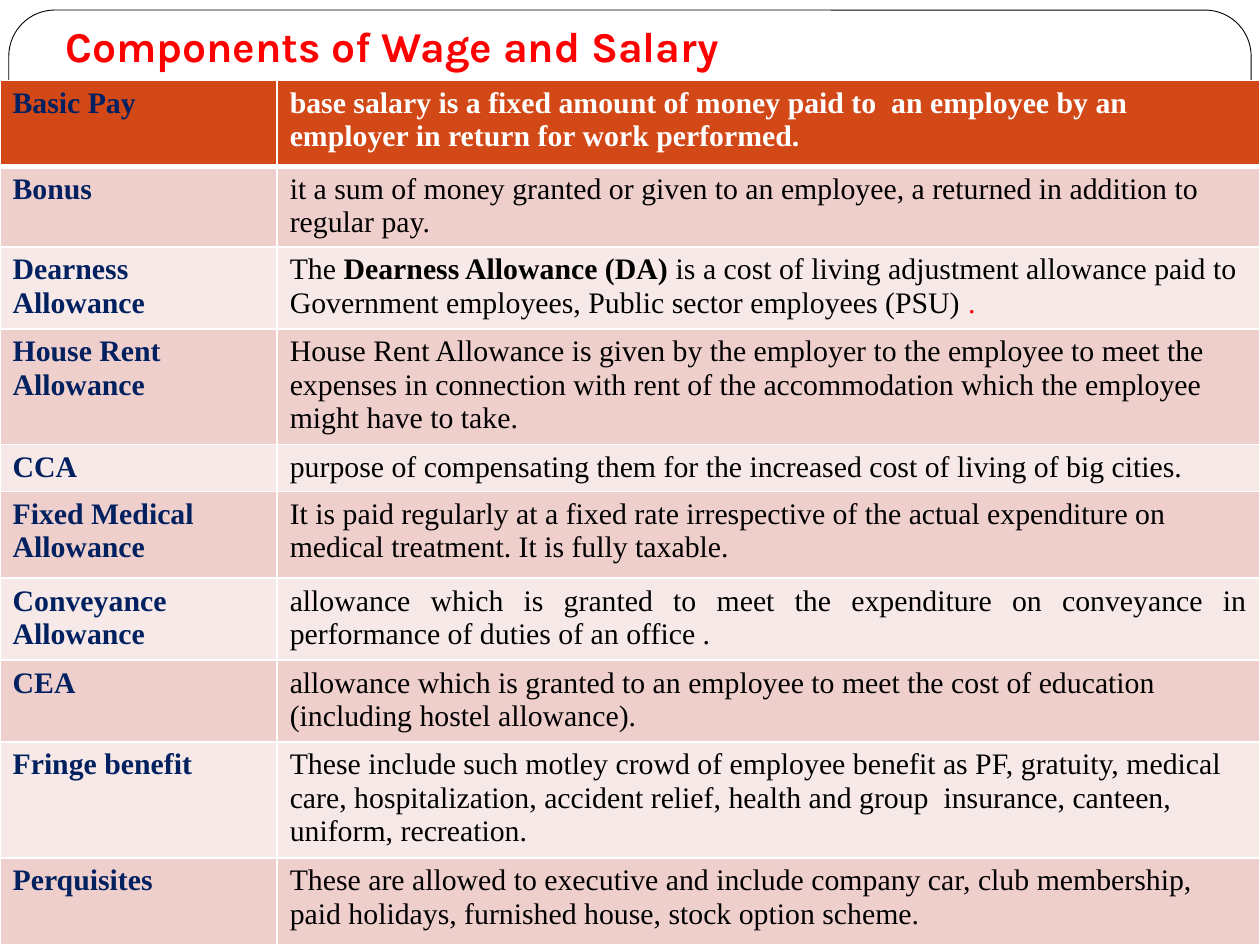
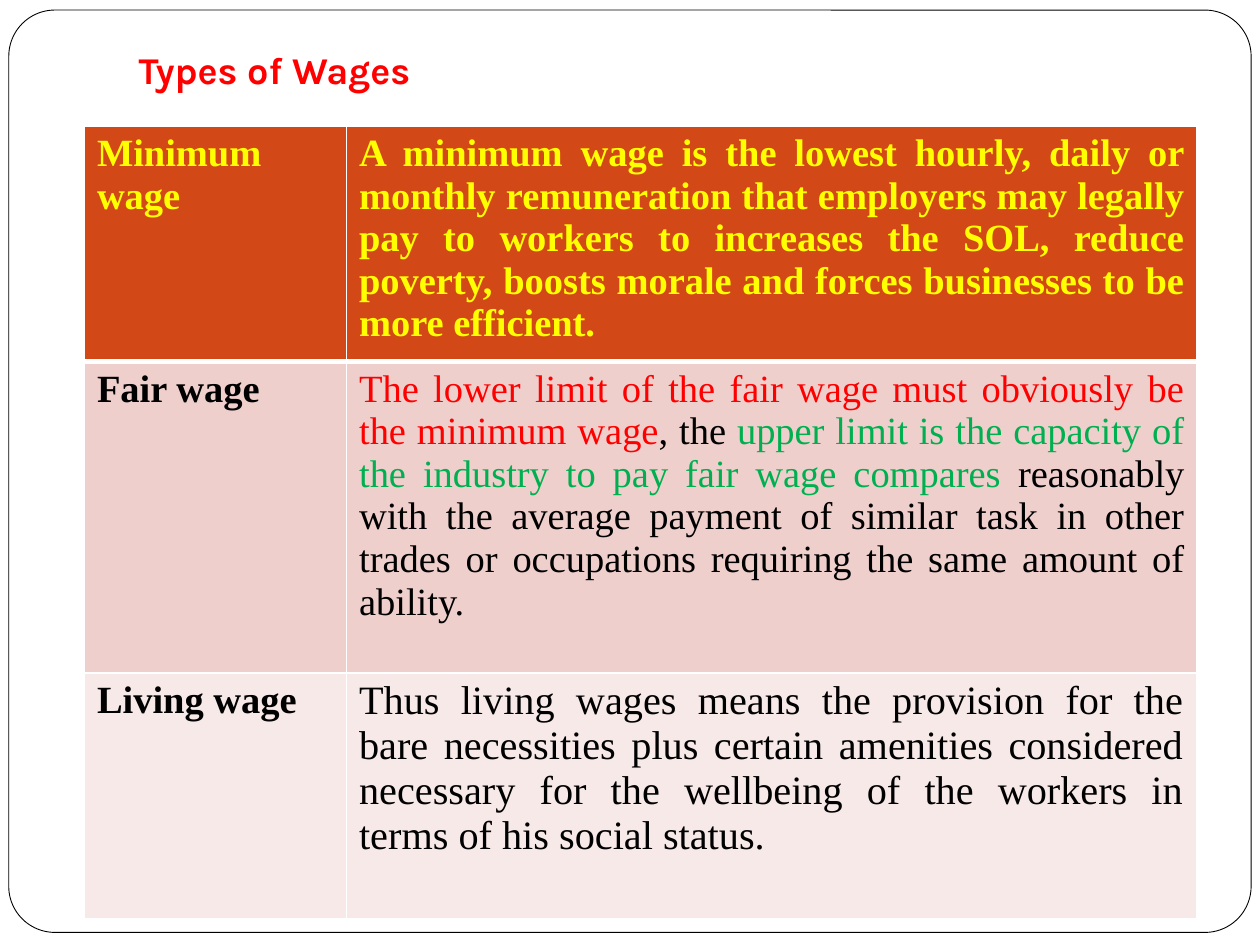
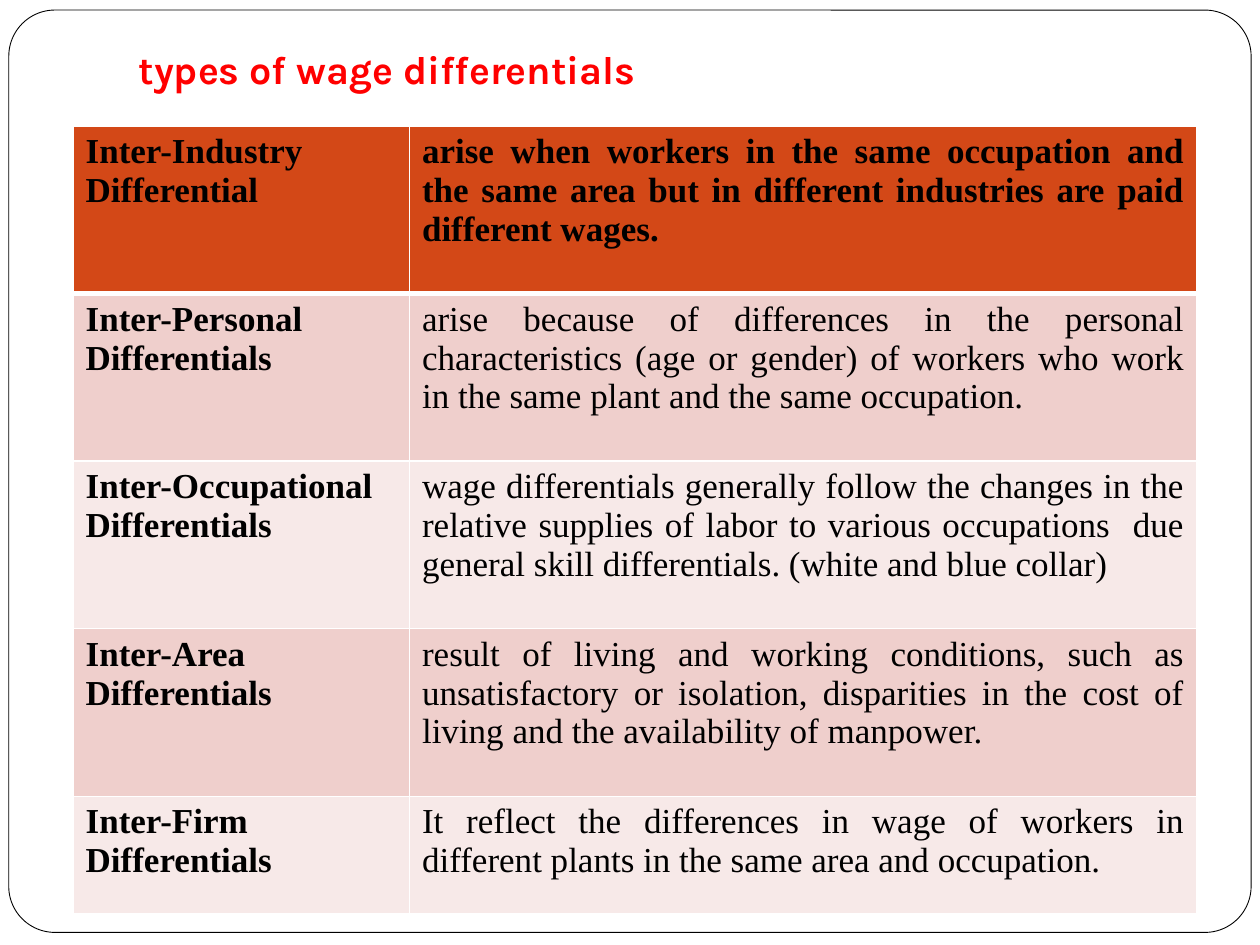
import pptx
import pptx.dml.color
import pptx.enum.shapes
import pptx.enum.text
import pptx.oxml
import pptx.oxml.ns
import pptx.util
from pptx.dml.color import RGBColor
from pptx.util import Inches

TITLE_FONT = "Karla"
BODY_FONT = "Times New Roman"

BLACK = RGBColor(0x00, 0x00, 0x00)
WHITE = RGBColor(0xFF, 0xFF, 0xFF)
RED = RGBColor(0xFF, 0x00, 0x00)
NAVY = RGBColor(0x00, 0x20, 0x60)
YELLOW = RGBColor(0xFF, 0xFF, 0x00)
GREEN = RGBColor(0x00, 0xB0, 0x50)
HEADER_FILL = RGBColor(0xD3, 0x48, 0x17)
BAND_FILLS = (RGBColor(0xF7, 0xE9, 0xE8), RGBColor(0xEF, 0xCF, 0xCC))

LEFT = pptx.enum.text.PP_ALIGN.LEFT
JUSTIFY = pptx.enum.text.PP_ALIGN.JUSTIFY

# A cell is plain text or a list of runs: (text, changes to the cell's style).
COMPONENTS = [
    ("Basic Pay", "base salary is a fixed amount of money paid to  an employee by an "
     "employer in return for work performed."),
    ("Bonus", "it a sum of money granted or given to an employee, a returned in "
     "addition to regular pay."),
    ("Dearness Allowance", [
        ("The ", {}),
        ("Dearness Allowance (DA)", {"bold": True}),
        (" is a cost of living adjustment allowance paid to Government employees, "
         "Public sector employees (PSU)", {}),
        (" .", {"color": RED})]),
    ("House Rent Allowance", "House Rent Allowance is given by the employer to the "
     "employee to meet the expenses in connection with rent of the accommodation "
     "which the employee might have to take."),
    ("CCA", "purpose of compensating them for the increased cost of living of big "
     "cities."),
    ("Fixed Medical Allowance", "It is paid regularly at a fixed rate irrespective of "
     "the actual expenditure on medical treatment. It is fully taxable."),
    ("Conveyance Allowance", "allowance which is granted to meet the expenditure on "
     "conveyance in performance of duties of an office ."),
    ("CEA", "allowance which is granted to an employee to meet the cost of education "
     "(including hostel allowance)."),
    ("Fringe benefit", "These include such motley crowd of employee benefit as PF, "
     "gratuity, medical care, hospitalization, accident relief, health and group  "
     "insurance, canteen, uniform, recreation."),
    ("Perquisites", "These are allowed to executive and include company car, club "
     "membership, paid holidays, furnished house, stock option scheme."),
]

WAGE_TYPES = [
    ([("Minimum wage", {"color": YELLOW})],
     [("A minimum wage is the lowest hourly, daily or monthly remuneration that "
       "employers may legally pay to workers to increases the SOL, reduce poverty, "
       "boosts morale and forces businesses to be more efficient.",
       {"color": YELLOW})]),
    ("Fair wage", [
        ("The lower limit of the fair wage must obviously be the minimum wage",
         {"color": RED}),
        (", the ", {}),
        ("upper limit is the capacity of the industry to pay fair wage compares ",
         {"color": GREEN}),
        ("reasonably with the average payment of similar task in other trades or "
         "occupations requiring the same amount of ability.", {})]),
    ("Living wage", [
        ("Thus living wages means the provision for the bare necessities plus certain "
         "amenities considered necessary for the wellbeing of the workers in terms of "
         "his social status.", {"size": 23})]),
]

DIFFERENTIALS = [
    ("Inter-Industry Differential", "arise when workers in the same occupation and the "
     "same area but in different industries are paid different wages."),
    ("Inter-Personal Differentials", "arise because of differences in the personal "
     "characteristics (age or gender) of workers who work in the same plant and the "
     "same occupation."),
    ("Inter-Occupational Differentials", "wage differentials generally follow the "
     "changes in the relative supplies of labor to various occupations  due general "
     "skill differentials. (white and blue collar)"),
    ("Inter-Area Differentials", "result of living and working conditions, such as "
     "unsatisfactory or isolation, disparities in the cost of living and the "
     "availability of manpower."),
    ("Inter-Firm Differentials", "It reflect the differences in wage of workers in "
     "different plants in the same area and occupation."),
]


def add_run(para, text, font_name, size, color, bold):
    span = para.add_run()
    span.text = text
    span.font.name = font_name
    span.font.size = pptx.util.Pt(size)
    span.font.color.rgb = color
    span.font.bold = bold


def move_frame_to_master(deck, page):
    """Draw the rounded page frame once, behind everything on the master."""
    frame = page.shapes.add_shape(
        pptx.enum.shapes.MSO_SHAPE.ROUNDED_RECTANGLE,
        Inches(0.07), Inches(0.08), Inches(9.86), Inches(7.32))
    frame.adjustments[0] = 0.05
    frame.shadow.inherit = False
    frame.fill.solid()
    frame.fill.fore_color.rgb = WHITE
    frame.line.color.rgb = BLACK
    frame.line.width = pptx.util.Pt(0.5)
    frame.element.xpath("p:nvSpPr/p:cNvPr")[0].set("id", "20")
    deck.slide_master.shapes.element.insert(2, frame.element)


def fill_title(page, text, left, top, size):
    title = page.shapes.title
    title.left, title.top = Inches(left), Inches(top)
    title.width, title.height = Inches(8.5), Inches(0.53)
    box = title.text_frame
    box.word_wrap = True
    box.auto_size = pptx.enum.text.MSO_AUTO_SIZE.NONE
    box.vertical_anchor = pptx.enum.text.MSO_ANCHOR.BOTTOM
    box.margin_left = box.margin_right = box.margin_bottom = Inches(0.1)
    box.margin_top = Inches(0.05)
    para = box.paragraphs[0]
    para.alignment = LEFT
    add_run(para, text, TITLE_FONT, size, RED, True)


def set_borders(cell, bottom_width):
    properties = cell._tc.get_or_add_tcPr()
    for side, width in (("L", 1), ("R", 1), ("T", 1), ("B", bottom_width)):
        properties.append(pptx.oxml.parse_xml(
            f'<a:ln{side} {pptx.oxml.ns.nsdecls("a")} w="{pptx.util.Pt(width)}">'
            f'<a:solidFill><a:srgbClr val="{WHITE}"/></a:solidFill></a:ln{side}>'))


def fill_cell(cell, content, row, style, alignment):
    set_borders(cell, 3 if row == 0 else 1)
    cell.fill.solid()
    cell.fill.fore_color.rgb = HEADER_FILL if row == 0 else BAND_FILLS[row % 2]
    para = cell.text_frame.paragraphs[0]
    para.alignment = alignment
    runs = [(content, {})] if isinstance(content, str) else content
    for text, changes in runs:
        add_run(para, text, BODY_FONT, **{**style, **changes})


def add_definitions(page, entries, left, top, columns, rows, size,
                    term_color=BLACK, header_color=BLACK, justified=None):
    """Add a table of terms and meanings; justified lists its justified rows."""
    table = page.shapes.add_table(
        len(entries), 2, Inches(left), Inches(top),
        Inches(sum(columns)), Inches(sum(rows))).table
    for column, width in zip(table.columns, columns):
        column.width = Inches(width)
    for row, (entry, height) in enumerate(zip(entries, rows)):
        table.rows[row].height = Inches(height)
        alignment = JUSTIFY if justified is None or row in justified else LEFT
        term_style = {"size": size, "color": term_color, "bold": True}
        meaning_style = {"size": size, "color": header_color if row == 0 else BLACK,
                         "bold": row == 0}
        for column, style in enumerate((term_style, meaning_style)):
            # Terms stay left-aligned where only some meanings are justified.
            cell_alignment = LEFT if justified and column == 0 else alignment
            fill_cell(table.cell(row, column), entry[column], row, style,
                      cell_alignment)


def add_page(deck):
    return deck.slides.add_slide(deck.slide_layouts.get_by_name("Title Only"))


def build_components(page):
    fill_title(page, "Components of Wage and Salary", 0.42, 0.13, 24.3)
    add_definitions(page, COMPONENTS, 0, 0.64, (2.2, 7.8),
                    (0.68, 0.64, 0.65, 0.92, 0.37, 0.69, 0.65, 0.65, 0.92, 0.69),
                    17, NAVY, WHITE, justified=(6,))


def build_wage_types(page):
    fill_title(page, "Types of Wages", 1, 0.3, 21.6)
    add_definitions(page, WAGE_TYPES, 0.67, 1, (2.08, 6.75), (1.87, 2.47, 1.95), 22)


def build_differentials(page):
    fill_title(page, "types of wage differentials", 1, 0.3, 22.5)
    add_definitions(page, DIFFERENTIALS, 0.58, 1, (2.67, 6.25),
                    (1.33,) * 4 + (0.93,), 20)


def main():
    deck = pptx.Presentation()
    deck.slide_width, deck.slide_height = Inches(10), Inches(7.5)
    builders = (build_components, build_wage_types, build_differentials)
    pages = [add_page(deck) for _ in builders]
    move_frame_to_master(deck, pages[0])
    for build, page in zip(builders, pages):
        build(page)
    deck.save("out.pptx")


if __name__ == "__main__":
    main()
